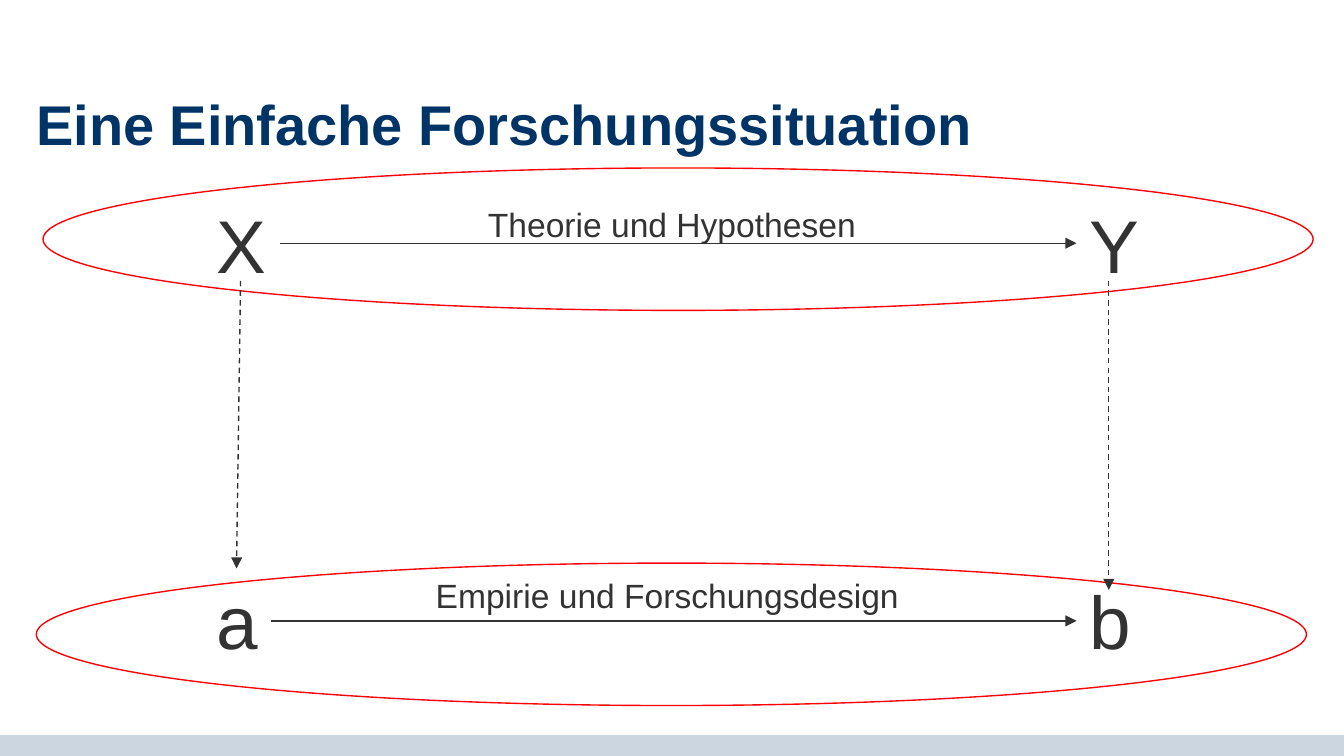
from lxml.etree import SubElement
from pptx import Presentation
from pptx.dml.color import RGBColor
from pptx.enum.dml import MSO_LINE
from pptx.enum.shapes import MSO_CONNECTOR, MSO_SHAPE
from pptx.enum.text import MSO_ANCHOR, PP_ALIGN
from pptx.oxml.ns import qn
from pptx.util import Inches, Pt

THEME = {
    "font": "Arial",
    "title": RGBColor(0x00, 0x33, 0x66),
    "text": RGBColor(0x33, 0x33, 0x33),
    "ring": RGBColor(0xFF, 0x00, 0x00),
    "footer": RGBColor(0xCC, 0xD6, 0xE0),
    "title_size": Pt(30),
    "label_size": Pt(18),
    "variable_size": Pt(40),
    "line": Pt(0.75),
}

prs = Presentation()
prs.slide_width = Inches(10)
prs.slide_height = Inches(10) * 9 // 16
s = prs.slides.add_slide(prs.slide_layouts[6])


def add_text(text, left, top, width, height, size, color="text", align=PP_ALIGN.LEFT):
    sp = s.shapes.add_textbox(Inches(left), Inches(top), Inches(width), Inches(height))
    tf = sp.text_frame
    tf.word_wrap = True
    p = tf.paragraphs[0]
    p.text = text
    p.alignment = align
    p.font.name = THEME["font"]
    p.font.size = THEME[size]
    p.font.color.rgb = THEME[color]
    return tf


def add_arrow(x1, y1, x2, y2, dashed=False):
    sp = s.shapes.add_connector(
        MSO_CONNECTOR.STRAIGHT, Inches(x1), Inches(y1), Inches(x2), Inches(y2))
    sp.line.color.rgb = THEME["text"]
    sp.line.width = THEME["line"]
    if dashed:
        sp.line.dash_style = MSO_LINE.DASH
    SubElement(sp.line._get_or_add_ln(), qn("a:tailEnd"), type="triangle")
    SubElement(sp._element.spPr, qn("a:effectLst"))


footer = s.shapes.add_shape(
    MSO_SHAPE.RECTANGLE, 0, Inches(5.47), prs.slide_width, prs.slide_height - Inches(5.47))
footer.shadow.inherit = False
footer.fill.solid()
footer.fill.fore_color.rgb = THEME["footer"]
footer.line.fill.background()

tf = add_text("Eine Einfache Forschungssituation ", 0.27, 0.78, 9.45, 0.35,
              "title_size", "title")
tf.margin_left = tf.margin_right = tf.margin_top = tf.margin_bottom = 0
tf.vertical_anchor = MSO_ANCHOR.MIDDLE
tf.paragraphs[0].line_spacing = 0.85
tf.paragraphs[0].font.bold = True

levels = [
    ("Empirie und Forschungsdesign ", 0.27, 4.19, 4.23, "a", "b", 4.23, 2.02, 4.62),
    ("Theorie und Hypothesen", 0.32, 1.25, 1.47, "X", "Y", 1.43, 2.08, 1.81),
]
for label, ring_x, ring_y, label_y, cause, effect, variable_y, arrow_x, arrow_y in levels:
    ring = s.shapes.add_shape(
        MSO_SHAPE.OVAL, Inches(ring_x), Inches(ring_y), Inches(9.45), Inches(1.06))
    ring.shadow.inherit = False
    ring.fill.background()
    ring.line.color.rgb = THEME["ring"]
    ring.line.width = THEME["line"]
    add_text(label, 2.35, label_y, 5.3, 0.4, "label_size", align=PP_ALIGN.CENTER)
    add_arrow(arrow_x, arrow_y, 8.01, arrow_y)
    add_text(cause, 1.51, variable_y, arrow_x - 1.51, 0.77,
             "variable_size").word_wrap = False
    add_text(effect, 8.01, variable_y, 0.48, 0.77, "variable_size")

add_arrow(1.79, 2.09, 1.76, 4.23, dashed=True)
add_arrow(8.25, 2.09, 8.25, 4.39, dashed=True)

prs.save("out.pptx")
